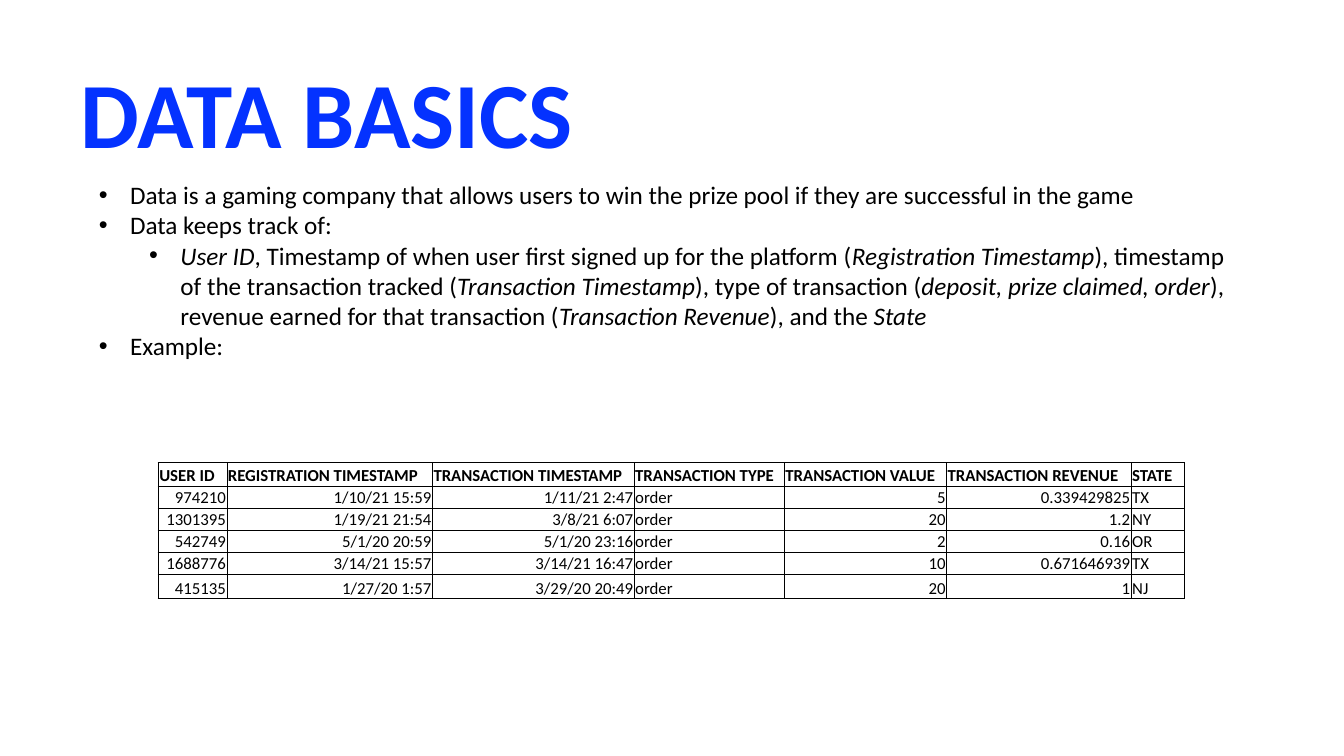
from lxml import etree
from pptx import Presentation
from pptx import util as u
from pptx.dml.color import RGBColor
from pptx.enum import text
from pptx.oxml.ns import qn

EMU_PER_PX = 9144
COLORS = {"title": "0432FF", "ink": "000000", "paper": "FFFFFF"}
FONT = "Calibri"

BULLETS = [
    (0, ["Data is a gaming company that allows users to win the prize pool "
         "if they are successful in the game"]),
    (0, ["Data keeps track of:"]),
    (1, ["", "User ID",
         ", Timestamp of when user first signed up for the platform (",
         "Registration Timestamp",
         "), timestamp of the transaction tracked (",
         "Transaction Timestamp",
         "), type of transaction (",
         "deposit, prize claimed, order",
         "), revenue earned for that transaction (",
         "Transaction Revenue",
         "), and the ", "State"]),
    (0, ["Example:"]),
]

COLUMN_WIDTHS = [68, 204, 200, 149, 161, 183, 53]
ROW_HEIGHTS = [23, 22, 22, 22, 22, 24]
LEFT_ALIGNED = {3, 6}
TRANSACTIONS = [
    ["USER ID", "REGISTRATION TIMESTAMP", "TRANSACTION TIMESTAMP",
     "TRANSACTION TYPE", "TRANSACTION VALUE", "TRANSACTION REVENUE", "STATE"],
    ["974210", "1/10/21 15:59", "1/11/21 2:47", "order", "5", "0.339429825", "TX"],
    ["1301395", "1/19/21 21:54", "3/8/21 6:07", "order", "20", "1.2", "NY"],
    ["542749", "5/1/20 20:59", "5/1/20 23:16", "order", "2", "0.16", "OR"],
    ["1688776", "3/14/21 15:57", "3/14/21 16:47", "order", "10", "0.671646939", "TX"],
    ["415135", "1/27/20 1:57", "3/29/20 20:49", "order", "20", "1", "NJ"],
]


def px(length):
    return u.Emu(length * EMU_PER_PX)


def apply(target, values):
    for name, value in values.items():
        setattr(target, name, value)


class SlideBuilder:
    def __init__(self, slide, colors, font):
        self.slide = slide
        self.colors = colors
        self.font = font

    def place(self, shape, left, top, width, height):
        apply(shape, {"left": px(left), "top": px(top),
                      "width": px(width), "height": px(height)})

    def add_span(self, para, words, size, color="ink", **style):
        span = para.add_run()
        span.text = words
        apply(span.font, {"name": self.font, "size": u.Pt(size), **style})
        span.font.color.rgb = RGBColor.from_string(self.colors[color])

    def title(self, words, *area):
        box = self.slide.shapes.title
        self.place(box, *area)
        apply(box.text_frame, {"auto_size": text.MSO_AUTO_SIZE.NONE,
                               "vertical_anchor": text.MSO_ANCHOR.BOTTOM})
        para = box.text_frame.paragraphs[0]
        apply(para, {"alignment": text.PP_ALIGN.LEFT, "line_spacing": 0.9})
        self.add_span(para, words, 66.6, "title", bold=True)

    def bullet_list(self, items, *area):
        box = self.slide.placeholders[1]
        self.place(box, *area)
        frame = box.text_frame
        apply(frame, {"auto_size": text.MSO_AUTO_SIZE.SHAPE_TO_FIT_TEXT,
                      "vertical_anchor": text.MSO_ANCHOR.TOP})
        for index, (level, spans) in enumerate(items):
            para = frame.add_paragraph() if index else frame.paragraphs[0]
            apply(para, {"level": level, "line_spacing": 1.0,
                         "space_before": u.Pt(0), "space_after": u.Pt(0)})
            props = para._p.get_or_add_pPr()
            props.set("marL", str(px(31 + 50 * level)))
            props.set("indent", str(px(-31)))
            etree.SubElement(props, qn("a:buFont"), typeface="Arial")
            etree.SubElement(props, qn("a:buChar"), char="•")
            for position, words in enumerate(spans):
                if words:
                    self.add_span(para, words, 18, italic=position % 2 == 1)

    def borders(self, cell, widths):
        props = cell._tc.get_or_add_tcPr()
        for index, (side, points) in enumerate(widths.items()):
            line = etree.Element(qn(f"a:ln{side}"), w=str(u.Pt(points)))
            fill = etree.SubElement(line, qn("a:solidFill"))
            etree.SubElement(fill, qn("a:srgbClr"), val=self.colors["ink"])
            props.insert(index, line)

    def table(self, rows, widths, heights, left, top):
        frame = self.slide.shapes.add_table(
            len(rows), len(widths), px(left), px(top), px(sum(widths)), px(sum(heights)))
        grid = frame.table
        apply(grid, {"first_row": False, "horz_banding": False})
        for column, width in zip(grid.columns, widths):
            column.width = px(width)
        last_row, last_column = len(rows) - 1, len(widths) - 1
        for r, (values, height) in enumerate(zip(rows, heights)):
            grid.rows[r].height = px(height)
            for c, value in enumerate(values):
                cell = grid.cell(r, c)
                apply(cell, {"margin_left": px(1), "margin_right": px(1),
                             "margin_top": px(1), "margin_bottom": 0,
                             "vertical_anchor": text.MSO_ANCHOR.BOTTOM})
                cell.fill.solid()
                cell.fill.fore_color.rgb = RGBColor.from_string(self.colors["paper"])
                para = cell.text_frame.paragraphs[0]
                flush_left = r == 0 or c in LEFT_ALIGNED
                para.alignment = text.PP_ALIGN.LEFT if flush_left else text.PP_ALIGN.RIGHT
                self.add_span(para, value, 12, bold=r == 0)
                outer = {"L": c == 0, "R": c == last_column,
                         "T": r == 0, "B": r == last_row}
                self.borders(cell, {side: 1 if edge else 0.5
                                    for side, edge in outer.items()})


def main():
    deck = Presentation()
    apply(deck, {"slide_width": px(1333), "slide_height": px(750)})
    page = SlideBuilder(deck.slides.add_slide(deck.slide_layouts[1]), COLORS, FONT)
    page.title("DATA BASICS", 70, 68, 1193, 104)
    page.bullet_list(BULLETS, 88, 173, 1157, 192)
    page.table(TRANSACTIONS, COLUMN_WIDTHS, ROW_HEIGHTS, 157, 459)
    deck.save("out.pptx")


if __name__ == "__main__":
    main()
